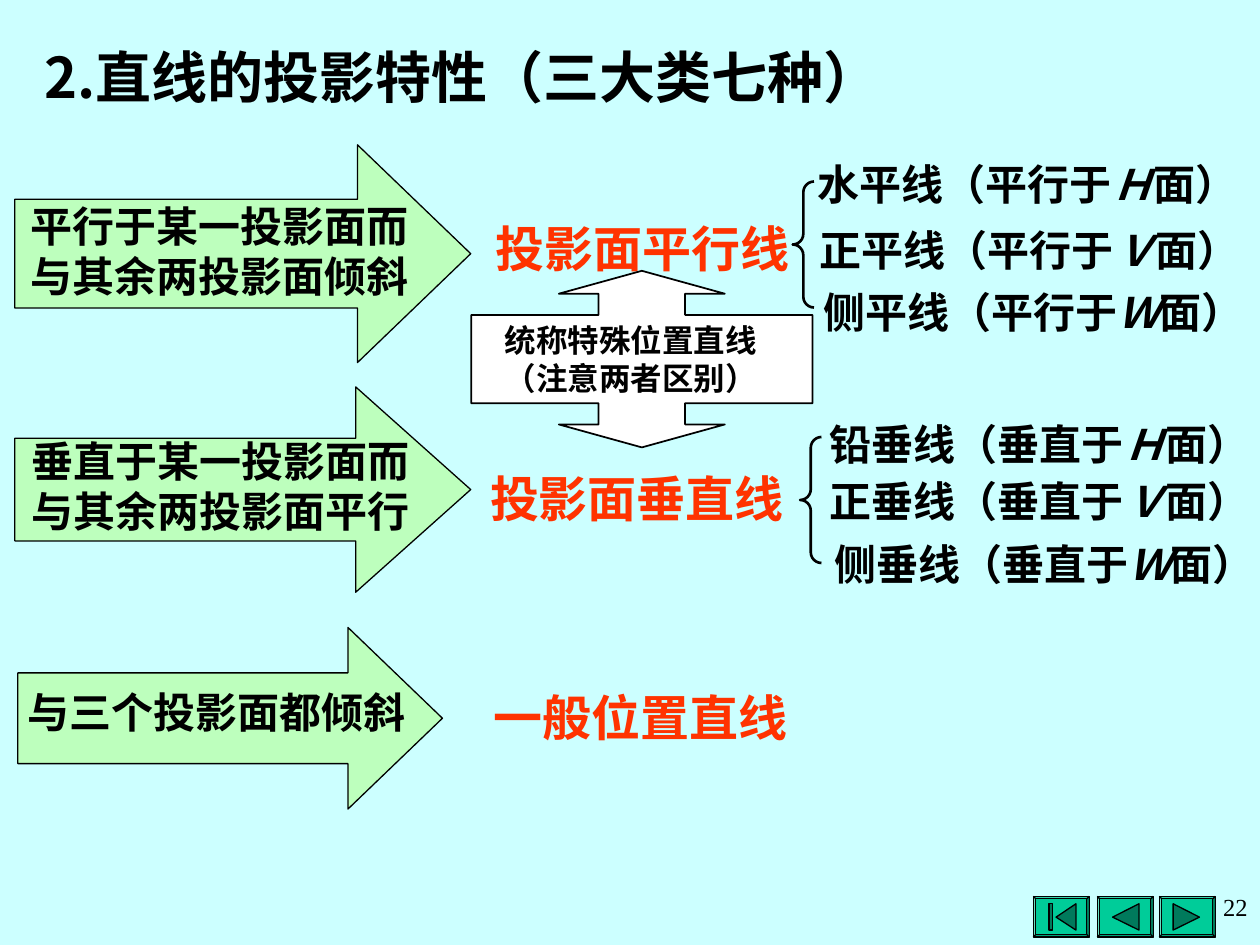
from lxml import etree
from pptx import Presentation
from pptx.dml.color import RGBColor
from pptx.enum import shapes, text
from pptx.oxml.ns import qn
from pptx.util import Cm, Pt

CJK = "Noto Sans CJK SC"
SERIF = "Times New Roman"
BLACK, RED, GREEN, WHITE = "000000", "FF3300", "BDFFBD", "FFFFFF"
BUTTON, ICON = "00CC99", "007A5C"
LEFT, CENTER, RIGHT = (text.PP_ALIGN.LEFT, text.PP_ALIGN.CENTER,
                       text.PP_ALIGN.RIGHT)
KIND = shapes.MSO_SHAPE


def color(value):
    return RGBColor.from_string(value)


def add_span(para, words, size, ink=BLACK, font=SERIF, bold=True, italic=False):
    span = para.add_run()
    span.text = words
    formats = {"name": font, "size": Pt(size), "bold": bold, "italic": italic}
    for name, value in formats.items():
        setattr(span.font, name, value)
    span.font.color.rgb = color(ink)
    east = etree.SubElement(span.font._element, qn("a:ea"))
    east.set("typeface", CJK)


def fill_frame(frame, lines, size, align=LEFT, wrap=True, **style):
    """Write lines; a line is a string or a list of (words, italic) pairs."""
    formats = {"word_wrap": wrap, "vertical_anchor": text.MSO_ANCHOR.MIDDLE,
               "margin_left": Cm(0.25), "margin_right": Cm(0.25),
               "margin_top": Cm(0.13), "margin_bottom": Cm(0.13)}
    for name, value in formats.items():
        setattr(frame, name, value)
    for index, line in enumerate(lines):
        para = frame.add_paragraph() if index else frame.paragraphs[0]
        para.alignment = align
        parts = [(line, False)] if isinstance(line, str) else line
        for words, italic in parts:
            add_span(para, words, size, italic=italic, **style)


def add_text(page, place, lines, size, **style):
    box = page.shapes.add_textbox(*map(Cm, place))
    fill_frame(box.text_frame, lines, size, **style)
    return box


def paint(shape, fill, width):
    shape.shadow.inherit = False
    if fill:
        shape.fill.solid()
        shape.fill.fore_color.rgb = color(fill)
    else:
        shape.fill.background()
    shape.line.color.rgb = color(BLACK)
    shape.line.width = Pt(width)


def add_preset(page, kind, place, adjust, fill=None, width=0.75):
    shape = page.shapes.add_shape(kind, *map(Cm, place))
    for index, value in enumerate(adjust):
        shape.adjustments[index] = value
    paint(shape, fill, width)
    return shape


def add_icon(page, points):
    start, *rest = [(Cm(x), Cm(y)) for x, y in points]
    builder = page.shapes.build_freeform(*start)
    builder.add_line_segments(rest, close=True)
    paint(builder.convert_to_shape(), ICON, 0.75)


def add_buttons(page):
    top, middle, bottom = 18.22, 18.49, 18.75
    for left in (20.83, 22.12, 23.37):
        add_preset(page, KIND.BEVEL, (left, 18.07, 1.13, 0.82), [0.06], BUTTON)
    # Tip and base of each triangle
    for tip, base in ((21.29, 21.69), (22.43, 22.96), (24.18, 23.65)):
        add_icon(page, [(tip, middle), (base, top), (base, bottom)])
    add_icon(page, [(21.15, top), (21.22, top), (21.22, bottom), (21.15, bottom)])


def add_lines(page, relation, rows):
    for name, plane, left, top, width, align in rows:
        parts = [(f"{name}（{relation}于", False), (plane, True), ("面）", False)]
        add_text(page, (left, top, width, 1.27), [parts], 24, align=align,
                 wrap=plane == "Ｗ")


def main():
    deck = Presentation()
    deck.slide_width, deck.slide_height = Cm(25.4), Cm(19.05)
    page = deck.slides.add_slide(deck.slide_layouts[6])
    page.background.fill.solid()
    page.background.fill.fore_color.rgb = color("CCFFFF")

    # Navigation buttons and title
    add_buttons(page)
    add_text(page, (0.64, 0.71, 19.38, 1.63), ["2.直线的投影特性（三大类七种）"],
             32, font=CJK)

    # Conditions in arrows
    for place, point in (((0.3, 2.92, 9.19, 4.39), 0.52),
                         ((0.36, 12.65, 8.56, 3.66), 0.52),
                         ((0.3, 7.8, 9.19, 4.14), 0.56)):
        add_preset(page, KIND.RIGHT_ARROW, place, (0.5, point), GREEN)
    add_text(page, (0.3, 3.91, 8.26, 2.29),
             ["平行于某一投影面而", "与其余两投影面倾斜"], 24, align=CENTER)
    add_text(page, (0.38, 8.64, 9.53, 2.29),
             ["垂直于某一投影面而", "与其余两投影面平行"], 24)
    add_text(page, (0.3, 13.72, 8.2, 1.27), ["与三个投影面都倾斜"], 24)

    # Names of the three classes
    for words, left, top, width, align in (
            ("投影面平行线", 9.5, 4.27, 6.91, CENTER),
            ("投影面垂直线", 9.63, 9.32, 6.93, LEFT),
            ("一般位置直线", 9.7, 13.72, 8, LEFT)):
        add_text(page, (left, top, width, 1.45), [words], 28, align=align, ink=RED)

    # Members of the first two classes
    add_lines(page, "平行", [("水平线", "Ｈ", 16.23, 3.07, 8.97, CENTER),
                           ("正平线", "Ｖ", 16.28, 4.39, 8.97, LEFT),
                           ("侧平线", "Ｗ", 16.28, 5.64, 9.12, CENTER)])
    add_lines(page, "垂直", [("铅垂线", "Ｈ", 16.48, 8.31, 8.97, CENTER),
                           ("正垂线", "Ｖ", 16.48, 9.45, 8.97, LEFT),
                           ("侧垂线", "Ｗ", 16.41, 10.72, 9.3, CENTER)])
    for left, top in ((15.98, 3.66), (16.13, 8.81)):
        add_preset(page, KIND.LEFT_BRACE, (left, top, 0.43, 2.54), (0.5, 0.5),
                   width=1.5)

    # Note joining the two special classes
    note = add_preset(page, KIND.UP_DOWN_ARROW_CALLOUT, (9.5, 5.46, 6.88, 3.56),
                      (0.49, 0.47, 0.13, 0.5), WHITE, 1)
    fill_frame(note.text_frame, ["统称特殊位置直线", "（注意两者区别）"], 18,
               align=CENTER)
    first = note.text_frame.paragraphs[0]
    first._p.get_or_add_pPr().set("marR", str(Cm(0.44)))

    # Page number
    number = add_text(page, (19, 17.86, 6.4, 1.55), ["22"], 14, align=RIGHT,
                      bold=False)
    number.text_frame.vertical_anchor = text.MSO_ANCHOR.TOP

    deck.save("out.pptx")


if __name__ == "__main__":
    main()
